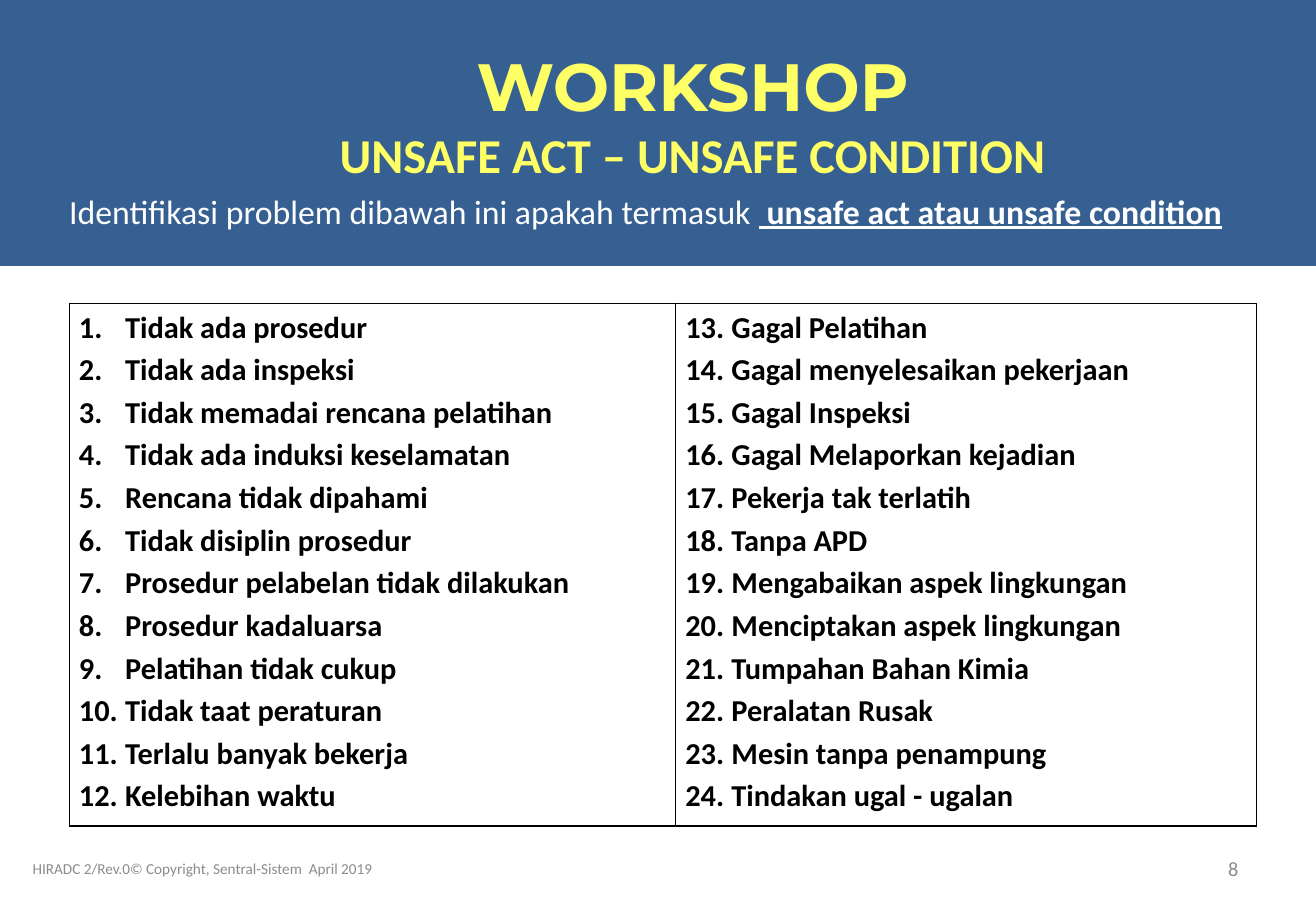
from lxml import etree
from pptx import Presentation
from pptx.dml.color import RGBColor
from pptx.enum.shapes import MSO_SHAPE
from pptx.enum.text import MSO_ANCHOR, MSO_AUTO_SIZE, PP_ALIGN
from pptx.oxml.ns import qn
from pptx.util import Inches, Pt

RECTANGLE = MSO_SHAPE.RECTANGLE
MIDDLE = MSO_ANCHOR.MIDDLE
NO_AUTO_SIZE = MSO_AUTO_SIZE.NONE
LEFT, CENTER, RIGHT = PP_ALIGN.LEFT, PP_ALIGN.CENTER, PP_ALIGN.RIGHT

BLUE = RGBColor(0x37, 0x60, 0x92)
YELLOW = RGBColor(0xFF, 0xFF, 0x66)
WHITE = RGBColor(0xFF, 0xFF, 0xFF)
BLACK = RGBColor(0, 0, 0)
GRAY = RGBColor(0x8C, 0x8C, 0x8C)

SLIDE_WIDTH, SLIDE_HEIGHT = 10.83, 7.5
HANGING_INDENT = 0.38

PROBLEM_COLUMNS = [
    [
        "Tidak ada prosedur",
        "Tidak ada inspeksi",
        "Tidak memadai rencana pelatihan",
        "Tidak ada induksi keselamatan",
        "Rencana tidak dipahami",
        "Tidak disiplin prosedur",
        "Prosedur pelabelan tidak dilakukan",
        "Prosedur kadaluarsa",
        "Pelatihan tidak cukup",
        "Tidak taat peraturan",
        "Terlalu banyak bekerja",
        "Kelebihan waktu",
    ],
    [
        "Gagal Pelatihan",
        "Gagal menyelesaikan pekerjaan",
        "Gagal Inspeksi",
        "Gagal Melaporkan kejadian",
        "Pekerja tak terlatih",
        "Tanpa APD",
        "Mengabaikan aspek lingkungan",
        "Menciptakan aspek lingkungan",
        "Tumpahan Bahan Kimia",
        "Peralatan Rusak",
        "Mesin tanpa penampung",
        "Tindakan ugal - ugalan",
    ],
]


def add_run(paragraph, text, size, color, bold=False, underline=False, font="Calibri"):
    run = paragraph.add_run()
    run.text = text
    run.font.name = font
    run.font.size = Pt(size)
    run.font.bold = bold
    run.font.underline = underline
    run.font.color.rgb = color


def add_text_box(slide, left, top, width, height):
    """Add a wrapping text box and return its text frame."""
    box = slide.shapes.add_textbox(Inches(left), Inches(top), Inches(width), Inches(height))
    box.text_frame.word_wrap = True
    return box.text_frame


def set_hanging_indent(paragraph):
    properties = paragraph._p.get_or_add_pPr()
    properties.set("marL", str(Inches(HANGING_INDENT)))
    properties.set("indent", str(-Inches(HANGING_INDENT)))
    return properties


def add_header(slide, left, top, width, height):
    band = slide.shapes.add_shape(
        RECTANGLE, Inches(left), Inches(top), Inches(width), Inches(height))
    band.shadow.inherit = False
    band.fill.solid()
    band.fill.fore_color.rgb = BLUE
    band.line.fill.background()

    title = slide.shapes.title
    title.element.addprevious(band.element)
    title.left, title.top = Inches(left + 0.49), Inches(top + 0.31)
    title.width, title.height = Inches(10.42), Inches(1.25)
    frame = title.text_frame
    frame.auto_size = NO_AUTO_SIZE
    frame.vertical_anchor = MIDDLE
    paragraph = frame.paragraphs[0]
    paragraph.alignment = CENTER
    add_run(paragraph, "WORKSHOP", 39.6, YELLOW, bold=True, font="Montserrat")
    paragraph.add_line_break()
    add_run(paragraph, "UNSAFE ACT – UNSAFE CONDITION", 28.8, YELLOW, bold=True)

    frame = add_text_box(slide, left + 0.47, top + 1.52, 10.18, 0.44)
    paragraph = frame.paragraphs[0]
    set_hanging_indent(paragraph)
    add_run(paragraph, "Identifikasi problem dibawah ini apakah termasuk ", 20, WHITE)
    add_run(paragraph, " unsafe act atau unsafe condition", 20, WHITE, bold=True, underline=True)


def set_borders(cell):
    properties = cell._tc.get_or_add_tcPr()
    for position, tag in enumerate(("a:lnL", "a:lnR", "a:lnT", "a:lnB")):
        line = etree.Element(qn(tag), w=str(Pt(1)))
        fill = etree.SubElement(line, qn("a:solidFill"))
        etree.SubElement(fill, qn("a:srgbClr"), val=str(BLACK))
        properties.insert(position, line)


def fill_numbered_cell(cell, problems, first_number):
    cell.fill.background()
    set_borders(cell)
    cell.margin_left = cell.margin_right = Inches(0.08)
    cell.margin_top = cell.margin_bottom = 0
    frame = cell.text_frame
    for index, problem in enumerate(problems):
        paragraph = frame.add_paragraph() if index else frame.paragraphs[0]
        properties = set_hanging_indent(paragraph)
        numbering = etree.SubElement(properties, qn("a:buAutoNum"), type="arabicPeriod")
        if first_number > 1:
            numbering.set("startAt", str(first_number))
        paragraph.line_spacing = 1.15
        add_run(paragraph, problem, 18, BLACK, bold=True)


def add_problem_table(slide, left, top, width, height):
    table = slide.shapes.add_table(
        1, len(PROBLEM_COLUMNS), Inches(left), Inches(top), Inches(width), Inches(height)).table
    table.first_row = table.horz_banding = False
    table.columns[0].width = Inches(4.99)
    table.columns[1].width = Inches(width - 4.99)
    first_number = 1
    for column, problems in enumerate(PROBLEM_COLUMNS):
        fill_numbered_cell(table.cell(0, column), problems, first_number)
        first_number += len(problems)


def add_footer(slide, left, top, height):
    entries = [
        (0, 6.09, "HIRADC 2/Rev.0© Copyright, Sentral-Sistem  April 2019", 9, LEFT),
        (7.59, 2.53, "8", 12, RIGHT),
    ]
    for offset, width, text, size, alignment in entries:
        frame = add_text_box(slide, left + offset, top, width, height)
        frame.vertical_anchor = MIDDLE
        paragraph = frame.paragraphs[0]
        paragraph.alignment = alignment
        add_run(paragraph, text, size, GRAY)


def main():
    presentation = Presentation()
    presentation.slide_width = Inches(SLIDE_WIDTH)
    presentation.slide_height = Inches(SLIDE_HEIGHT)
    slide = presentation.slides.add_slide(presentation.slide_layouts.get_by_name("Title Only"))
    add_header(slide, 0, 0, SLIDE_WIDTH, 2.19)
    add_problem_table(slide, 0.57, 2.5, 9.77, 4.3)
    add_footer(slide, 0.17, 6.95, 0.4)
    presentation.save("out.pptx")


if __name__ == "__main__":
    main()
